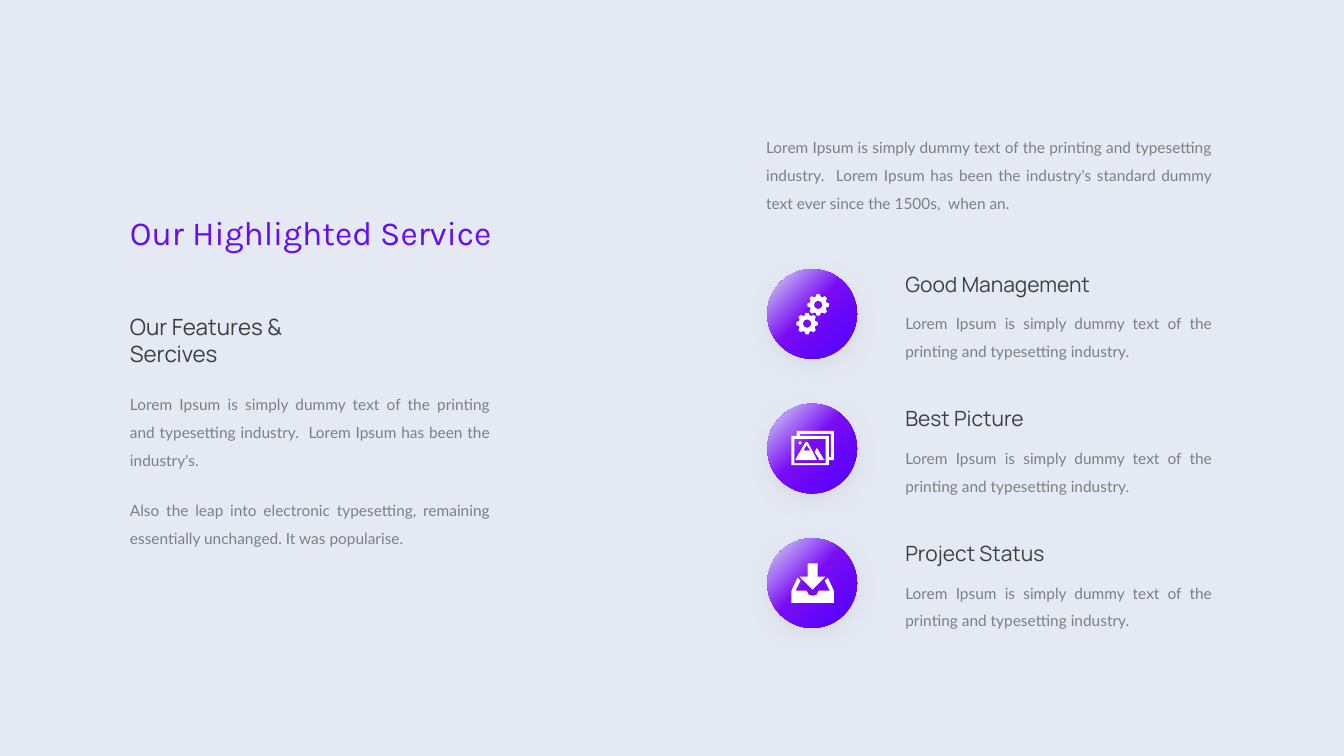
from dataclasses import dataclass
from math import cos, pi, radians, sin

from lxml.etree import fromstring
from pptx import Presentation
from pptx.dml.color import RGBColor
from pptx.enum.shapes import MSO_SHAPE
from pptx.enum.text import MSO_AUTO_SIZE, PP_ALIGN
from pptx.oxml.ns import qn
from pptx.util import Emu, Inches, Pt

Contour = list[tuple[float, float]]

COLORS = {
    "paper": "E4E9F4", "title": "650EF2", "heading": "3F3F3F", "body": "7F7F7F",
    "icon": "FFFFFF", "glow": "D8E2F3", "violet": "7A0CF4", "blue": "4C00FF",
    "shadow": "BFBFBF",
}
NS = "http://schemas.openxmlformats.org/drawingml/2006/main"
W, H = Inches(13.33), Inches(7.5)
BADGE = Inches(0.89)
BADGE_CELLS = 89
LEFT, RIGHT, TEXT, BADGE_X = 8.93, 56.26, 66.62, 57.09
FIRST_ROW, ROW_PITCH = 35.2, 17.8
LINES_2, LINES_3 = 8.27, 12
BODY = {"font": "Lato", "size": 11, "color": "body", "align": PP_ALIGN.JUSTIFY,
        "spacing": 1.5}
HEADING = {"font": "Manrope", "color": "heading"}


@dataclass
class Service:
    """A service with its icon, given as shapes made of contours on the badge grid."""
    title: str
    text: str
    icon: list[list[Contour]]


def circle(cx: float, cy: float, r: float, steps: int = 32) -> Contour:
    """Return the points of a circle."""
    return [(cx + r * cos(2 * pi * i / steps), cy + r * sin(2 * pi * i / steps))
            for i in range(steps)]


def gear(cx: float, cy: float) -> list[Contour]:
    """Return an eight-toothed gear with a round hole."""
    tooth = [(-17, 8.5), (-8, 10.8), (8, 10.8), (17, 8.5)]
    rim = [(cx + r * cos(radians(45 * i + a)), cy + r * sin(radians(45 * i + a)))
           for i in range(8) for a, r in tooth]
    return [rim, circle(cx, cy, 4)]


GEARS = [gear(50.5, 35.5), gear(39.5, 54)]
PHOTOS = [
    [[(56, 55), (50, 45), (49, 44), (47, 48), (51, 54), (51, 56), (56, 56), (57, 55)]],
    [[(49, 55), (40, 38), (38, 38), (28, 55), (28, 56), (49, 56)],
     [(40, 46), (39, 47), (37, 46), (35, 48), (39, 41), (43, 47)]],
    [circle(32.5, 39, 1.5)],
    [[(66, 27), (29, 27), (29, 32), (24, 32), (24, 61), (61, 61), (61, 56), (66, 56)],
     [(58, 59), (27, 59), (27, 35), (58, 35)],
     [(63, 53), (61, 53), (61, 32), (32, 32), (32, 30), (63, 30)]],
]
INBOX = [
    [[(60, 39), (57, 42), (62, 52), (51, 52), (49, 56), (45, 57), (41, 56), (39, 52),
      (28, 52), (33, 42), (30, 39), (24, 52), (24, 64), (66, 64), (66, 52)]],
    [[(58, 38), (50, 38), (50, 25), (40, 25), (40, 38), (32, 38), (45, 51)]],
]
BLURB = "Lorem Ipsum is simply dummy text of the printing and typesetting industry."
SERVICES = [
    Service("Good Management", BLURB, GEARS),
    Service("Best Picture", BLURB, PHOTOS),
    Service("Project Status", BLURB, INBOX),
]


def across(share: float) -> Emu:
    """Convert a percentage of the slide's width to a length."""
    return Emu(round(W * share / 100))


def down(share: float) -> Emu:
    """Convert a percentage of the slide's height to a length."""
    return Emu(round(H * share / 100))


def add_text(s, text: str, x: float, y: float, w: float, h: float, *, font: str,
             size: float, color: str, align=PP_ALIGN.LEFT, spacing: float = 1) -> None:
    """Add a wrapped text box, placed by shares of the slide."""
    tf = s.shapes.add_textbox(across(x), down(y), across(w), down(h)).text_frame
    tf.word_wrap = True
    tf.auto_size = MSO_AUTO_SIZE.SHAPE_TO_FIT_TEXT
    p = tf.paragraphs[0]
    p.alignment, p.line_spacing = align, spacing
    r = p.add_run()
    r.text = text
    r.font.name, r.font.size = font, Pt(size)
    r.font.color.rgb = RGBColor.from_string(COLORS[color])


def add_badge(s, x: Emu, y: Emu) -> None:
    """Add a round badge with a radial gradient and a soft shadow."""
    sp = s.shapes.add_shape(MSO_SHAPE.OVAL, x, y, BADGE, BADGE)
    sp.shadow.inherit = False
    sp.line.fill.background()
    sp.fill.background()
    props = sp.element.spPr
    stops = "".join(
        f'<a:gs pos="{pos * 1000}"><a:srgbClr val="{COLORS[name]}"/></a:gs>'
        for pos, name in ((0, "glow"), (47, "violet"), (100, "blue")))
    props.replace(props.find(qn("a:noFill")), fromstring(
        f'<a:gradFill xmlns:a="{NS}" rotWithShape="1"><a:gsLst>{stops}</a:gsLst>'
        '<a:path path="circle"><a:fillToRect r="100000" b="100000"/></a:path>'
        '</a:gradFill>'))
    props.find(qn("a:effectLst")).append(fromstring(
        f'<a:outerShdw xmlns:a="{NS}" blurRad="{Pt(15)}" dist="{Pt(5)}" dir="5400000" '
        f'algn="t" rotWithShape="0"><a:srgbClr val="{COLORS["shadow"]}">'
        '<a:alpha val="33000"/></a:srgbClr></a:outerShdw>'))


def add_outline(s, contours: list[Contour], x: Emu, y: Emu) -> None:
    """Add one white icon part, with any further contours as holes."""
    cell = BADGE / BADGE_CELLS
    first, *holes = [[(x + px * cell, y + py * cell) for px, py in c] for c in contours]
    builder = s.shapes.build_freeform(*first[0])
    builder.add_line_segments(first[1:])
    for hole in holes:
        builder.move_to(*hole[0])
        builder.add_line_segments(hole[1:])
    sp = builder.convert_to_shape()
    sp.shadow.inherit = False
    sp.fill.solid()
    sp.fill.fore_color.rgb = RGBColor.from_string(COLORS["icon"])
    sp.line.fill.background()


def add_service(s, service: Service, row: int) -> None:
    """Add a badge with its icon, heading and text."""
    top = FIRST_ROW + row * ROW_PITCH
    x, y = across(BADGE_X), down(top + 0.4)
    add_badge(s, x, y)
    for part in service.icon:
        add_outline(s, part, x, y)
    add_text(s, service.title, TEXT, top, 19.2, 4.67, size=15, **HEADING)
    add_text(s, service.text, TEXT, top + 4.53, 24.31, LINES_2, **BODY)


def main() -> None:
    """Build and save the slide."""
    prs = Presentation()
    prs.slide_width, prs.slide_height = W, H
    s = prs.slides.add_slide(prs.slide_layouts[6])
    s.background.fill.solid()
    s.background.fill.fore_color.rgb = RGBColor.from_string(COLORS["paper"])
    add_text(s, "Our Highlighted Service", LEFT, 27.33, 30.76, 6.67,
             font="Karla", size=24, color="title")
    add_text(s, "Our Features & Sercives", LEFT, 40.8, 17.48, 8.53, size=16, **HEADING)
    add_text(s, f"{BLURB}  Lorem Ipsum has been the industry's.",
             LEFT, 50.4, 28.28, LINES_3, **BODY)
    add_text(s, "Also the leap into electronic typesetting, remaining essentially "
             "unchanged. It was popularise.", LEFT, 64.4, 28.28, LINES_2, **BODY)
    add_text(s, f"{BLURB}  Lorem Ipsum has been the industry's standard dummy text "
             "ever since the 1500s,  when an.", RIGHT, 16.4, 34.66, LINES_3, **BODY)
    for row, service in enumerate(SERVICES):
        add_service(s, service, row)
    prs.save("out.pptx")


if __name__ == "__main__":
    main()
